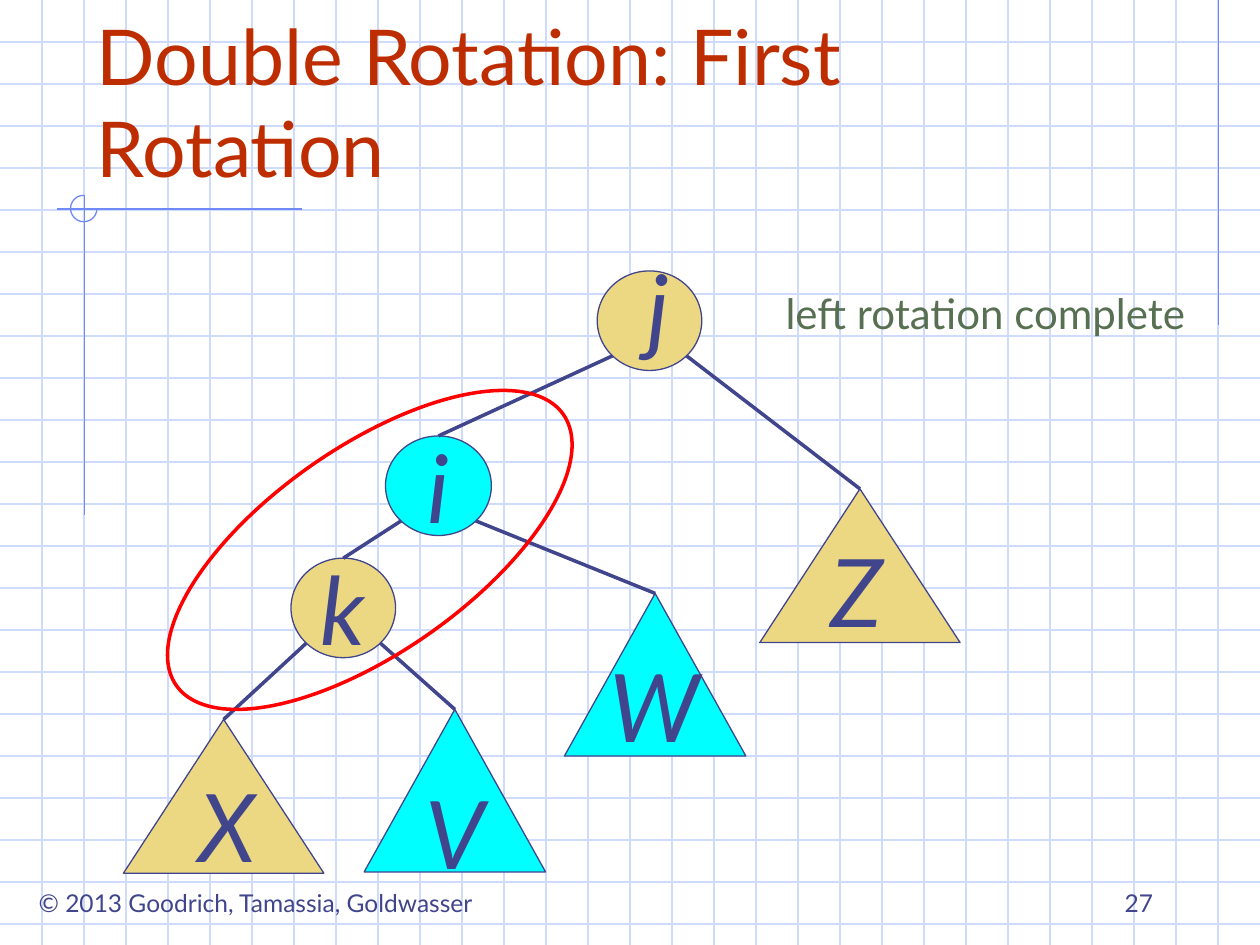
from collections import namedtuple
from dataclasses import dataclass

from lxml.etree import SubElement
from pptx import Presentation
from pptx.dml.color import RGBColor
from pptx.enum.shapes import MSO_CONNECTOR, MSO_SHAPE
from pptx.enum.text import MSO_ANCHOR, PP_ALIGN
from pptx.oxml.ns import qn
from pptx.util import Inches, Pt

Box = namedtuple("Box", "x y w h")
Node = namedtuple("Node", "name kind fill box label", defaults=[None])


@dataclass(frozen=True)
class Theme:
    font: str = "Lato"
    ink: str = "40458C"
    grid: str = "CFDBFD"
    rule: str = "6F89F7"
    title: str = "BE2D00"
    note: str = "577052"
    sand: str = "ECD882"
    moved: str = "00FFFF"
    ring: str = "FF0000"
    title_size: int = 44
    node_size: int = 54
    note_size: int = 24
    footer_size: int = 14
    thin: float = 0.75
    thick: float = 2


T = Theme()
SLIDE = Box(0, 0, 10, 7.5)


def inside(box, part):
    return Box(box.x + part.x, box.y + part.y, part.w, part.h)


def add_line(slide, x1, y1, x2, y2, color, width=T.thin):
    line = slide.shapes.add_connector(
        MSO_CONNECTOR.STRAIGHT, Inches(x1), Inches(y1), Inches(x2), Inches(y2))
    line.line.color.rgb = RGBColor.from_string(color)
    line.line.width = Pt(width)
    SubElement(line._element.spPr, qn("a:effectLst"))
    return line


def add_outline(slide, kind, box, color, width=T.thin, fill=None):
    s = slide.shapes.add_shape(kind, *map(Inches, box))
    s.shadow.inherit = False
    s.line.color.rgb = RGBColor.from_string(color)
    s.line.width = Pt(width)
    if fill:
        s.fill.solid()
        s.fill.fore_color.rgb = RGBColor.from_string(fill)
    else:
        s.fill.background()
    return s


def write(s, text, size, color, align=PP_ALIGN.CENTER,
          anchor=MSO_ANCHOR.TOP, wrap=True, italic=False):
    tf = s.text_frame
    tf.word_wrap = wrap
    tf.vertical_anchor = anchor
    tf.margin_left = tf.margin_right = Inches(0.1)
    tf.margin_top = tf.margin_bottom = Inches(0.05)
    p = tf.paragraphs[0]
    p.alignment = align
    r = p.add_run()
    r.text = text
    r.font.name = T.font
    r.font.size = Pt(size)
    r.font.italic = italic
    r.font.color.rgb = RGBColor.from_string(color)
    return tf


def add_text(slide, box, text, size, color, **options):
    return write(slide.shapes.add_textbox(*map(Inches, box)), text, size, color, **options)


def add_grid(slide, box, step=1 / 3):
    right, bottom = box.x + box.w, box.y + box.h
    for i in range(1, int(box.h / step) + 1):
        add_line(slide, box.x, box.y + i * step, right, box.y + i * step, T.grid)
    for i in range(1, round(box.w / step)):
        add_line(slide, box.x + i * step, box.y, box.x + i * step, bottom, T.grid)


def add_rules(slide, box):
    add_line(slide, box.x + 9.67, box.y, box.x + 9.67, box.y + 2.58, T.rule)
    add_line(slide, box.x + 2.4, box.y + 1.66, box.x + 0.45, box.y + 1.66, T.rule)
    add_line(slide, box.x + 0.67, box.y + 1.55, box.x + 0.67, box.y + 4.09, T.rule)
    arc = add_outline(slide, MSO_SHAPE.ARC, inside(box, Box(0.56, 1.55, 0.21, 0.21)), T.rule)
    arc.adjustments[0] = 0
    arc.adjustments[1] = 162


def add_heading(slide, box):
    tf = add_text(slide, box, "Double Rotation: First Rotation", T.title_size, T.title,
                  align=PP_ALIGN.LEFT, anchor=MSO_ANCHOR.BOTTOM)
    tf.margin_right = Inches(0.3)


def add_footer(slide, box):
    add_text(slide, inside(box, Box(0, 0.17, 3.88, 0.34)),
             "© 2013 Goodrich, Tamassia, Goldwasser", T.footer_size, T.ink, wrap=False)
    add_text(slide, inside(box, Box(7.08, 0, 2.08, 0.5)), "27", T.footer_size, T.ink,
             align=PP_ALIGN.RIGHT, anchor=MSO_ANCHOR.BOTTOM)


def add_node(slide, box, node):
    place = inside(box, node.box)
    s = add_outline(slide, node.kind, place, T.ink, fill=node.fill)
    style = dict(text=node.name, size=T.node_size, color=T.ink, italic=True)
    if node.label:
        add_text(slide, inside(place, Box(*node.label, 0.51, 1)), **style)
    else:
        write(s, anchor=MSO_ANCHOR.MIDDLE, wrap=False, **style)
    return s


def add_edge(slide, box, parent, side, child_shape):
    place = inside(box, parent.box)
    diagonal = 0.5 ** 0.5 / 2
    x = place.x + place.w * (0.5 + side * diagonal)
    y = place.y + place.h * (0.5 + diagonal)
    add_line(slide, x, y, x, y, T.ink, T.thick).end_connect(child_shape, 0)


def add_tree(slide, box):
    circle, triangle = MSO_SHAPE.OVAL, MSO_SHAPE.ISOSCELES_TRIANGLE
    nodes = {n.name: n for n in (
        Node("j", circle, T.sand, Box(3.76, 0, 0.83, 0.79), (0.23, -0.22)),
        Node("k", circle, T.sand, Box(1.33, 2.28, 0.83, 0.79)),
        Node("X", triangle, T.sand, Box(0, 3.56, 1.59, 1.22), (0.5, 0.34)),
        Node("V", triangle, T.moved, Box(1.91, 3.48, 1.44, 1.29)),
        Node("Z", triangle, T.sand, Box(5.05, 1.73, 1.59, 1.22), (0.46, 0.3)),
        Node("W", triangle, T.moved, Box(3.5, 2.56, 1.44, 1.29), (0.26, 0.38)),
        Node("i", circle, T.moved, Box(2.08, 1.31, 0.84, 0.79)),
    )}
    shapes = {name: add_node(slide, box, node) for name, node in nodes.items()}
    for parent, left, right in ("jiZ", "ikW", "kXV"):
        add_edge(slide, box, nodes[parent], -1, shapes[left])
        add_edge(slide, box, nodes[parent], 1, shapes[right])
    add_text(slide, inside(box, Box(5.04, 0.08, 3.6, 0.5)), "left rotation complete",
             T.note_size, T.note, wrap=False)
    ring = add_outline(slide, circle, inside(box, Box(0.08, 1.4, 3.75, 1.63)), T.ring, T.thick)
    ring.rotation = 325


def main():
    prs = Presentation()
    prs.slide_width, prs.slide_height = Inches(SLIDE.w), Inches(SLIDE.h)
    slide = prs.slides.add_slide(prs.slide_layouts[6])
    add_grid(slide, SLIDE)
    add_rules(slide, SLIDE)
    add_footer(slide, Box(0.09, 6.83, 9.16, 0.5))
    add_heading(slide, Box(0.67, 0.33, 8.5, 1.25))
    add_tree(slide, Box(0.98, 2.15, 8.64, 4.78))
    prs.save("out.pptx")


if __name__ == "__main__":
    main()
